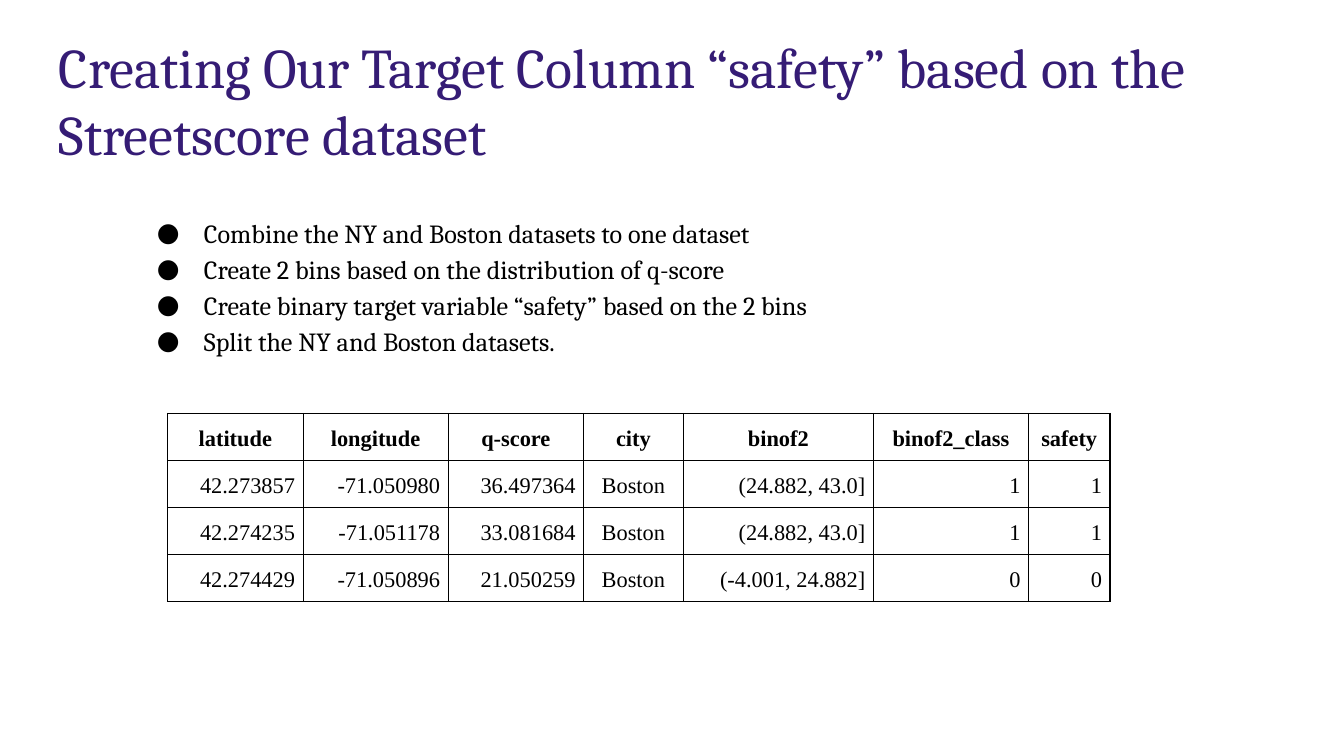
"""Build the slide that explains the target column "safety"."""
import pptx
import pptx.dml.color
import pptx.enum.text
import pptx.oxml
import pptx.oxml.ns
import pptx.util

Pt = pptx.util.Pt
ALIGN = pptx.enum.text.PP_ALIGN
ANCHOR = pptx.enum.text.MSO_ANCHOR

COLOURS = {"title": "351C75", "text": "000000", "border": "000000", "cell": "FFFFFF"}
TITLE = "Creating Our Target Column “safety” based on the Streetscore dataset"
STEPS = [
    "Combine the NY and Boston datasets to one dataset",
    "Create 2 bins based on the distribution of q-score",
    "Create binary target variable “safety” based on the 2 bins",
    "Split the NY and Boston datasets.",
]
COLUMNS = [
    ("latitude", 72.6),
    ("longitude", 77.7),
    ("q-score", 72.6),
    ("city", 53.3),
    ("binof2", 102),
    ("binof2_class", 83),
    ("safety", 43.7),
]
RECORDS = [
    ("42.273857", "-71.050980", "36.497364", "Boston", "(24.882, 43.0]", "1", "1"),
    ("42.274235", "-71.051178", "33.081684", "Boston", "(24.882, 43.0]", "1", "1"),
    ("42.274429", "-71.050896", "21.050259", "Boston", "(-4.001, 24.882]", "0", "0"),
]
TITLE_BOX = (24.5, 0, 671, 96.5)
STEPS_BOX = (66.2, 106.6, 552, 105)
TABLE_LEFT, TABLE_TOP, ROW_HEIGHT = 89.8, 221.5, 24.4
CELL_MARGIN, BORDER_WIDTH = 4.3, 0.75
BULLET_LEFT, BULLET_INDENT = 36, -25.2

TITLE_FONT = {"name": "Cambria", "size": Pt(30)}
STEP_FONT = {"name": "Cambria", "size": Pt(14)}
CELL_FONT = {"name": "Times New Roman", "size": Pt(12)}
SIDES = ("left", "top", "right", "bottom")


def set_values(target, values):
    for name, value in values.items():
        setattr(target, name, value)


def rgb(name):
    return pptx.dml.color.RGBColor.from_string(COLOURS[name])


def append_xml(parent, xml):
    namespace = pptx.oxml.ns.nsdecls("a")
    parent.append(pptx.oxml.parse_xml(xml.replace(" ", f" {namespace} ", 1)))


def write(paragraph, text, font, colour="text", **layout):
    paragraph.text = text
    set_values(paragraph, layout)
    set_values(paragraph.font, font)
    paragraph.font.color.rgb = rgb(colour)


def add_text_frame(slide, box, anchor):
    frame = slide.shapes.add_textbox(*map(Pt, box)).text_frame
    set_values(frame, {"word_wrap": True, "vertical_anchor": anchor})
    set_values(frame, {f"margin_{side}": Pt(7.2) for side in SIDES})
    return frame


def add_bullet(paragraph):
    properties = paragraph._p.get_or_add_pPr()
    properties.set("marL", str(Pt(BULLET_LEFT)))
    properties.set("indent", str(Pt(BULLET_INDENT)))
    append_xml(properties, f'<a:buClr ><a:srgbClr val="{COLOURS["text"]}"/></a:buClr>')
    append_xml(properties, '<a:buFont typeface="Cambria"/>')
    append_xml(properties, '<a:buChar char="●"/>')


def style_cell(cell):
    properties = cell._tc.get_or_add_tcPr()
    for side in "LRTB":
        append_xml(
            properties,
            f'<a:ln{side} w="{Pt(BORDER_WIDTH)}"><a:solidFill>'
            f'<a:srgbClr val="{COLOURS["border"]}"/></a:solidFill></a:ln{side}>',
        )
    cell.fill.solid()
    cell.fill.fore_color.rgb = rgb("cell")
    set_values(cell, {f"margin_{side}": Pt(CELL_MARGIN) for side in SIDES})
    cell.vertical_anchor = ANCHOR.MIDDLE


def add_steps(slide):
    frame = add_text_frame(slide, STEPS_BOX, ANCHOR.TOP)
    for index, step in enumerate(STEPS):
        paragraph = frame.add_paragraph() if index else frame.paragraphs[0]
        add_bullet(paragraph)
        write(paragraph, step, STEP_FONT, line_spacing=1.15)


def add_score_table(slide):
    names, widths = zip(*COLUMNS)
    rows = [names, *RECORDS]
    table = slide.shapes.add_table(
        len(rows), len(names), Pt(TABLE_LEFT), Pt(TABLE_TOP),
        Pt(sum(widths)), Pt(ROW_HEIGHT * len(rows)),
    ).table
    for column, width in zip(table.columns, widths):
        column.width = Pt(width)
    for row_index, values in enumerate(rows):
        table.rows[row_index].height = Pt(ROW_HEIGHT)
        is_header = row_index == 0
        for column_index, value in enumerate(values):
            cell = table.cell(row_index, column_index)
            style_cell(cell)
            centred = is_header or names[column_index] == "city"
            write(
                cell.text_frame.paragraphs[0], value, CELL_FONT | {"bold": is_header},
                alignment=ALIGN.CENTER if centred else ALIGN.RIGHT, line_spacing=1.15,
            )


def main():
    presentation = pptx.Presentation()
    set_values(presentation, {"slide_width": Pt(720), "slide_height": Pt(405)})
    slide = presentation.slides.add_slide(presentation.slide_layouts[6])
    title = add_text_frame(slide, TITLE_BOX, ANCHOR.BOTTOM)
    write(title.paragraphs[0], TITLE, TITLE_FONT, "title")
    add_score_table(slide)
    add_steps(slide)
    presentation.save("out.pptx")


if __name__ == "__main__":
    main()
